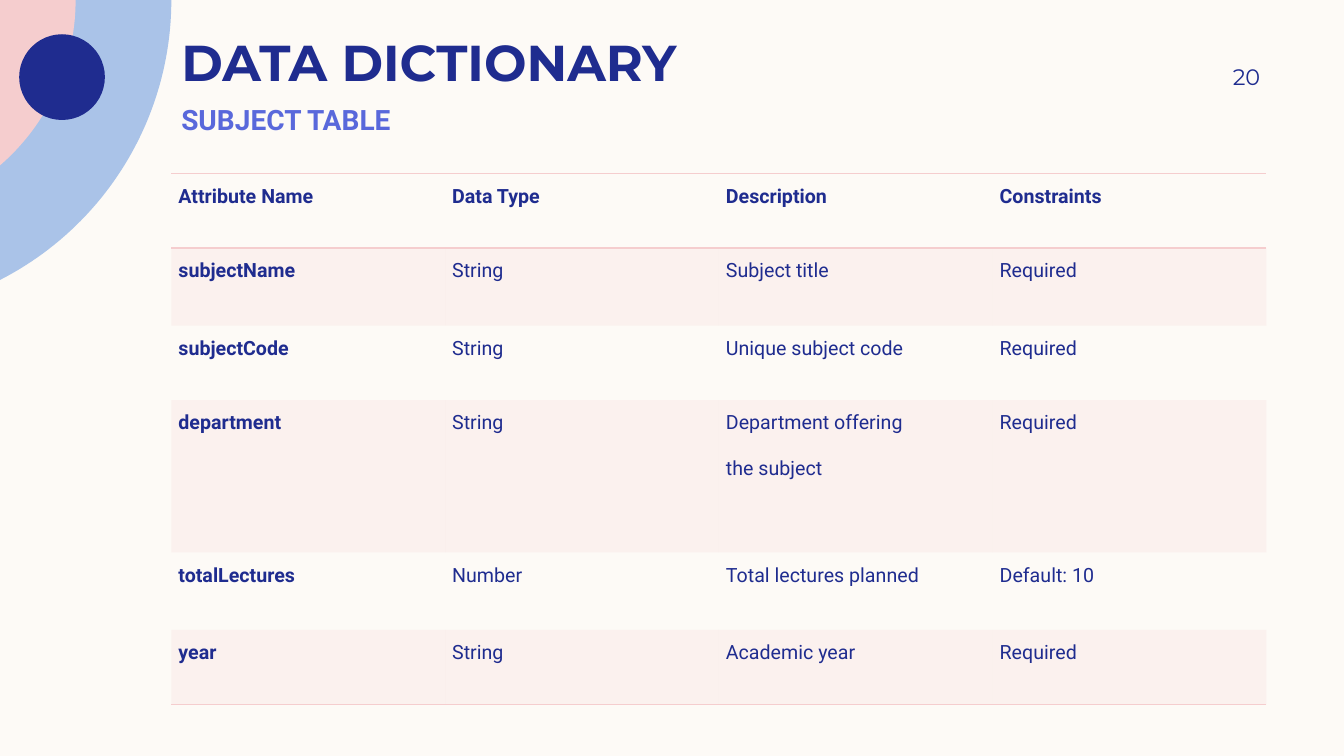
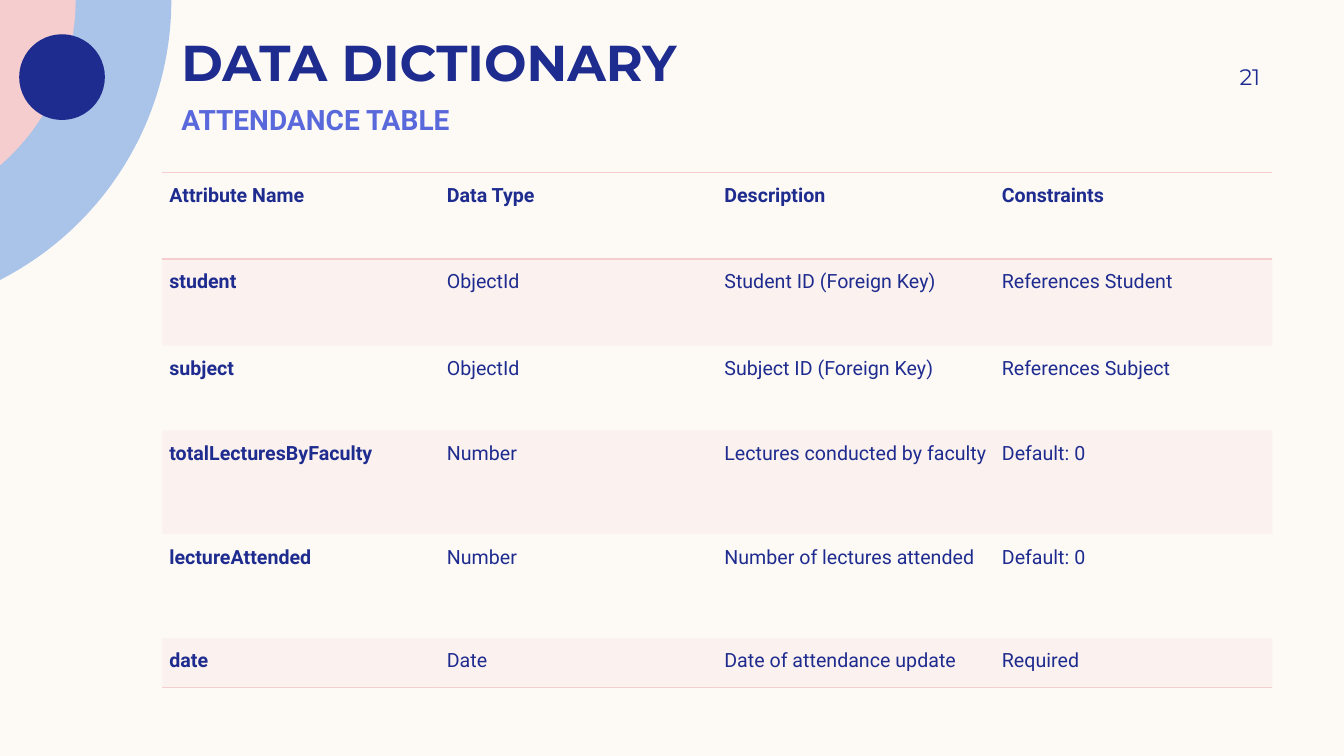
from math import acos, cos, sin

from lxml import etree
from pptx import Presentation
from pptx.dml.color import RGBColor
from pptx.enum.shapes import MSO_SHAPE
from pptx.enum.text import MSO_ANCHOR, PP_ALIGN
from pptx.oxml.ns import qn
from pptx.util import Inches, Pt

LEFT, RIGHT, JUSTIFY = PP_ALIGN.LEFT, PP_ALIGN.RIGHT, PP_ALIGN.JUSTIFY
TOP, MIDDLE, BOTTOM = MSO_ANCHOR.TOP, MSO_ANCHOR.MIDDLE, MSO_ANCHOR.BOTTOM
OVAL = MSO_SHAPE.OVAL

CREAM, NAVY, VIOLET = "FDFAF6", "1F2C8F", "5968DB"
SKY, PINK = "AAC3E8", "F5CDCE"
HEADING_FONT, BODY_FONT = "Montserrat", "Roboto"
NO_GRID_STYLE = "{2D5ABB26-0587-4C30-8999-92F81FD0307C}"
BAND_OPACITY = 20  # percent

TITLE = "DATA DICTIONARY"
HEADER = ("Attribute Name", "Data Type", "Description", "Constraints")
DICTIONARIES = [
    {
        "subtitle": "SUBJECT TABLE",
        "number": "20",
        "frame": (1.7, 1.72, 10.86),
        "row_heights": (0.74, 0.77, 0.74, 1.51, 0.77, 0.74),
        "attributes": [
            ("subjectName", "String", "Subject title", "Required"),
            ("subjectCode", "String", "Unique subject code", "Required"),
            ("department", "String", "Department offering\nthe subject", "Required"),
            ("totalLectures", "Number", "Total lectures planned", "Default: 10"),
            ("year", "String", "Academic year", "Required"),
        ],
    },
    {
        "subtitle": "ATTENDANCE TABLE",
        "number": "21",
        "frame": (1.61, 1.71, 11.01),
        "row_heights": (0.86, 0.86, 0.84, 1.03, 1.03, 0.49),
        "attributes": [
            ("student", "ObjectId", "Student ID (Foreign Key)", "References Student"),
            ("subject", "ObjectId", "Subject ID (Foreign Key)", "References Subject"),
            ("totalLecturesByFaculty", "Number", "Lectures conducted by faculty", "Default: 0"),
            ("lectureAttended", "Number", "Number of lectures attended", "Default: 0"),
            ("date", "Date", "Date of attendance update", "Required"),
        ],
    },
]

# The corner arcs share a centre on the top edge, left of the slide.
ARC_CENTRE_X = -1.42
ARCS = [(3.12, SKY), (2.17, PINK)]
ARC_STEPS = 48
DOT = (0.19, 0.34, 0.85, 0.85)


def rgb(hex_colour):
    return RGBColor.from_string(hex_colour)


def paint(shape, colour):
    shape.shadow.inherit = False
    shape.fill.solid()
    shape.fill.fore_color.rgb = rgb(colour)
    shape.line.fill.background()


def add_run(paragraph, text, size, font, colour, bold):
    run = paragraph.add_run()
    run.text = text
    run.font.size = Pt(size)
    run.font.name = font
    run.font.bold = bold
    run.font.color.rgb = rgb(colour)


def add_label(slide, text, box, size, font, colour, bold=True,
              anchor=TOP, align=LEFT, right_inset=0.1):
    frame = slide.shapes.add_textbox(*map(Inches, box)).text_frame
    frame.word_wrap = True
    frame.vertical_anchor = anchor
    frame.margin_left, frame.margin_right = Inches(0.1), Inches(right_inset)
    frame.margin_top = frame.margin_bottom = 0
    paragraph = frame.paragraphs[0]
    paragraph.alignment = align
    add_run(paragraph, text, size, font, colour, bold)


def add_corner(slide):
    """Draw the arcs cut off by the slide's top left corner, and the dot."""
    for radius, colour in ARCS:
        sweep = acos(-ARC_CENTRE_X / radius)
        angles = [sweep * step / ARC_STEPS for step in range(ARC_STEPS + 1)]
        rim = [(Inches(ARC_CENTRE_X + radius * cos(angle)), Inches(radius * sin(angle)))
               for angle in angles]
        outline = slide.shapes.build_freeform(0, 0)
        outline.add_line_segments(rim, close=True)
        paint(outline.convert_to_shape(), colour)
    paint(slide.shapes.add_shape(OVAL, *map(Inches, DOT)), NAVY)


def fill_band(cell):
    cell.fill.solid()
    cell.fill.fore_color.rgb = rgb(PINK)
    colour = cell._tc.tcPr.find(".//" + qn("a:srgbClr"))
    etree.SubElement(colour, qn("a:alpha"), val=str(BAND_OPACITY * 1000))


def add_borders(cell, sides):
    """Rule the given sides ("T", "B"); borders come before the fill in tcPr."""
    for position, side in enumerate(sides):
        border = etree.Element(qn("a:ln" + side), w=str(Pt(1)))
        solid = etree.SubElement(border, qn("a:solidFill"))
        etree.SubElement(solid, qn("a:srgbClr"), val=PINK)
        cell._tc.get_or_add_tcPr().insert(position, border)


def write_cell(cell, text, bold):
    cell.margin_left = cell.margin_right = Inches(0.07)
    cell.margin_top = cell.margin_bottom = 0
    frame = cell.text_frame
    for index, line in enumerate(text.split("\n")):
        paragraph = frame.add_paragraph() if index else frame.paragraphs[0]
        paragraph.alignment = JUSTIFY
        paragraph.line_spacing = 1.5
        paragraph.space_after = Pt(8)
        add_run(paragraph, line, 14, BODY_FONT, NAVY, bold)


def add_dictionary(slide, frame, row_heights, attributes):
    rows = [HEADER, *attributes]
    left, top, width = frame
    table = slide.shapes.add_table(
        len(rows), len(HEADER), Inches(left), Inches(top),
        Inches(width), Inches(sum(row_heights))).table
    table._tbl.tblPr.find(qn("a:tableStyleId")).text = NO_GRID_STYLE
    for column in table.columns:
        column.width = Inches(width / len(HEADER))
    for r, (height, texts) in enumerate(zip(row_heights, rows)):
        table.rows[r].height = Inches(height)
        for c, text in enumerate(texts):
            cell = table.cell(r, c)
            write_cell(cell, text, bold=r == 0 or c == 0)
            if r % 2:
                fill_band(cell)
            else:
                cell.fill.background()
            if r == 0:
                add_borders(cell, "TB")
            elif r == len(rows) - 1:
                add_borders(cell, "B")


def main():
    prs = Presentation()
    prs.slide_width, prs.slide_height = Inches(13.33), Inches(7.5)
    backdrop = prs.slide_master.background.fill
    backdrop.solid()
    backdrop.fore_color.rgb = rgb(CREAM)
    blank = prs.slide_layouts[6]

    for entry in DICTIONARIES:
        slide = prs.slides.add_slide(blank)
        add_corner(slide)
        add_label(slide, TITLE, (1.7, 0.06, 5.89, 0.85), 36, HEADING_FONT, NAVY,
                  anchor=BOTTOM)
        add_label(slide, entry["subtitle"], (1.7, 1.02, 4.63, 0.42), 20, BODY_FONT, VIOLET)
        add_label(slide, entry["number"], (11.33, 0.5, 1.17, 0.52), 16, HEADING_FONT, NAVY,
                  bold=False, anchor=MIDDLE, align=RIGHT, right_inset=0)
        add_dictionary(slide, entry["frame"], entry["row_heights"], entry["attributes"])

    prs.save("out.pptx")


if __name__ == "__main__":
    main()
